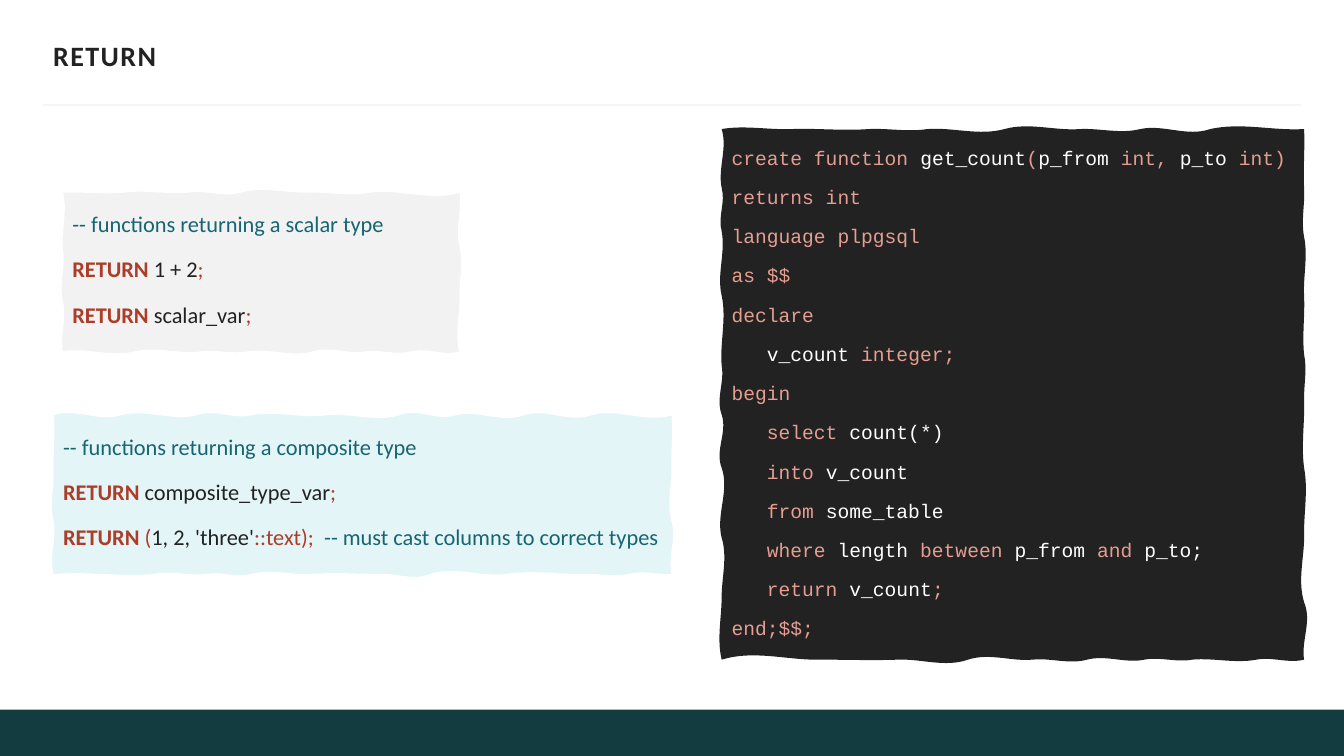
from pptx import Presentation
from pptx.util import Pt
from pptx.dml.color import RGBColor
from pptx.enum.shapes import MSO_SHAPE, MSO_CONNECTOR
from pptx.enum.text import MSO_ANCHOR
from lxml import etree

A = "{http://schemas.openxmlformats.org/drawingml/2006/main}"

# Run styles: colour, bold
STYLES = {
    "note": ("176571", False), "key": ("AB3D29", True),
    "mark": ("AB3D29", False), "plain": ("222222", False),
    "code": ("E59E91", False), "name": ("FFFFFF", False),
}

# Code lines: indent level, then runs of (style, text)
SCALAR = [
    (0, [("note", "-- functions returning a scalar type")]),
    (0, [("key", "RETURN "), ("plain", "1 + 2"), ("mark", ";")]),
    (0, [("key", "RETURN "), ("plain", "scalar_var"), ("mark", ";")]),
]
COMPOSITE = [
    (0, [("note", "-- functions returning a composite type")]),
    (0, [("key", "RETURN "), ("plain", "composite_type_var"), ("mark", ";")]),
    (0, [("key", "RETURN"), ("mark", " ("), ("plain", "1, 2, 'three'"),
         ("mark", "::text);  "), ("note", "-- must cast columns to correct types")]),
]
FUNCTION = [
    (0, [("code", "create function "), ("name", "get_count"), ("code", "("),
         ("name", "p_from "), ("code", "int, "), ("name", "p_to"), ("code", " int)")]),
    (0, [("code", "returns int")]),
    (0, [("code", "language plpgsql")]),
    (0, [("code", "as $$")]),
    (0, [("code", "declare")]),
    (1, [("name", "v_count"), ("code", " integer;")]),
    (0, [("code", "begin")]),
    (1, [("code", "select"), ("name", " count(*)")]),
    (1, [("code", "into "), ("name", "v_count")]),
    (1, [("code", "from "), ("name", "some_table")]),
    (1, [("code", "where"), ("name", " length "), ("code", "between "),
         ("name", "p_from "), ("code", "and "), ("name", "p_to;")]),
    (1, [("code", "return "), ("name", "v_count"), ("code", ";")]),
    (0, [("code", "end;$$;")]),
]

# Torn edges, clockwise from top left: (end along the edge, first bend, second bend)
SCALAR_EDGES = dict(
    top=[(44, -.7, 1.4), (90, -2.2, 1.4), (127, -2.2, 3.6), (174, -4.3, 0),
         (220, -.7, 2.9), (284, -2.9, 6.5)],
    right=[(39, 2.2, -3.6), (76, 2.9, -.7), (114, 0, -3.6)],
    bottom=[(249, 3.6, -2.9), (217, 2.9, -1.4), (179, 2.2, -3.6), (133, 4.3, -2.2),
            (99, 2.2, -1.4), (52, 2.2, -3.6), (0, 4.3, -2.9)],
    left=[(78, -2.2, 2.9), (41, -2.9, 2.2), (0, -1.4, 3.6)])
COMPOSITE_EDGES = dict(
    top=[(48, -5.8, 5), (102, -5, 4.3), (141, -5, 2.9), (194, -3.6, 2.2), (247, -2.2, 5),
         (287, -5.8, 4.3), (336, -4.3, 5.8), (384, -5.8, 5.8), (442, -5.8, 5.8)],
    right=[(38, 1.4, -.7), (76, 0, -3.6), (114, 3.6, -2.9)],
    bottom=[(411, .7, -2.9), (376, 2.2, -.7), (323, 0, -2.9), (269, 2.2, -5.8),
            (234, 5, -.7), (185, 0, -1.4), (141, .7, -3.6), (110, 2.9, -2.2),
            (71, 1.4, -2.9), (0, 2.2, -2.2)],
    left=[(76, -3.6, 2.2), (42, -2.9, 0), (0, -.7, 1.4)])
FUNCTION_EDGES = dict(
    top=[(50, -2.9, .7), (105, -.7, 1.4), (147, -.7, 2.2), (202, -1.4, 5),
         (256, -5, 1.4), (299, -.7, 3.6), (349, -3.6, 5.8), (416, -5, 1.4)],
    right=[(42, .7, -.7), (77, .7, -2.2), (119, 2.9, -.7), (161, .7, -1.4), (192, 2.2, 0),
           (242, .7, -2.2), (288, 2.9, 0), (338, .7, -5), (379, 5.8, -2.2)],
    bottom=[(382, 2.9, -2.2), (336, 2.9, -1.4), (302, 2.2, -2.2), (261, 2.9, -3.6),
            (222, 3.6, -1.4), (176, 1.4, -5), (126, 5.8, -.7), (71, .7, 0), (0, .7, -7.2)],
    left=[(334, -3.6, 0), (292, 0, 4.3), (242, -4.3, 5.8), (204, -5, 4.3), (169, -4.3, 2.2),
          (119, -1.4, 3.6), (73, -3.6, 2.9), (42, -2.9, 2.9), (0, -2.9, 4.3)])

# Panels: left, top, width, height, fill, line, font, size, space before, edges, lines
PANELS = [
    (44.6, 137.3, 284, 114, "F2F2F2", "FFFFFF", "Calibri", 16, 3.4, SCALAR_EDGES, SCALAR),
    (38, 296.4, 442, 114, "E4F5F7", "FFFFFF", "Calibri", 16, 3.4, COMPOSITE_EDGES, COMPOSITE),
    (515.5, 92.2, 416, 379, "222222", None, "Courier New", 14, 2.8, FUNCTION_EDGES, FUNCTION),
]
INDENT = 25.2


def rgb(value):
    return RGBColor.from_string(value)


def add_run(p, text, font, size, color, bold):
    r = p.add_run()
    r.text = text
    r.font.name, r.font.size, r.font.bold = font, Pt(size), bold
    r.font.color.rgb = rgb(color)
    return r


def torn_curves(width, height, edges):
    """Cubic curves round a rectangle, each as two control points and an end."""
    curves = []
    for side, start, base in (("top", 0, 0), ("right", 0, width),
                              ("bottom", width, height), ("left", height, 0)):
        for end, bend1, bend2 in edges[side]:
            third = (end - start) / 3
            points = [(start + third, base + bend1), (end - third, base + bend2), (end, base)]
            if side in ("right", "left"):
                points = [(y, x) for x, y in points]
            curves.append([(Pt(x), Pt(y)) for x, y in points])
            start = end
    return curves


def add_torn_shape(s, left, top, curves):
    builder = s.shapes.build_freeform(0, 0)
    builder.add_line_segments([curve[-1] for curve in curves], close=True)
    sp = builder.convert_to_shape(Pt(left), Pt(top))
    # Bend each straight side piece
    for piece, curve in zip(list(sp._element.iter(A + "lnTo")), curves):
        bezier = etree.Element(A + "cubicBezTo")
        for x, y in curve:
            etree.SubElement(bezier, A + "pt", x=str(x), y=str(y))
        piece.getparent().replace(piece, bezier)
    return sp


def add_panel(s, left, top, width, height, fill, line, font, size, space, edges, lines):
    sp = add_torn_shape(s, left, top, torn_curves(width, height, edges))
    sp.shadow.inherit = False
    sp.fill.solid()
    sp.fill.fore_color.rgb = rgb(fill)
    if line:
        sp.line.color.rgb = rgb(line)
        sp.line.width = Pt(0.75)
    else:
        sp.line.fill.background()

    tf = sp.text_frame
    tf.word_wrap = True
    tf.vertical_anchor = MSO_ANCHOR.TOP
    for i, (level, runs) in enumerate(lines):
        p = tf.paragraphs[0] if i == 0 else tf.add_paragraph()
        pPr = p._p.get_or_add_pPr()
        pPr.set("algn", "l")
        pPr.set("marL", str(Pt(INDENT * level)))
        p.line_spacing = 1.5
        p.space_before = Pt(space)
        for style, text in runs:
            add_run(p, text, font, size, *STYLES[style])


prs = Presentation()
prs.slide_width, prs.slide_height = Pt(960), Pt(540)
s = prs.slides.add_slide(prs.slide_layouts[6])

# Footer band
footer = s.shapes.add_shape(MSO_SHAPE.RECTANGLE, 0, Pt(506.9), Pt(960), Pt(33.1))
footer.shadow.inherit = False
footer.fill.solid()
footer.fill.fore_color.rgb = rgb("133C41")
footer.line.fill.background()

# Rule under the title
rule = s.shapes.add_connector(MSO_CONNECTOR.STRAIGHT, Pt(31), Pt(74.9), Pt(929), Pt(74.9))
rule.line.color.rgb = rgb("F5F5F5")
rule.line.width = Pt(1.5)
etree.SubElement(rule._element.spPr, A + "effectLst")

# Title
title = s.shapes.add_textbox(Pt(38), Pt(23.8), Pt(885), Pt(31.7))
tf = title.text_frame
tf.word_wrap = True
tf.vertical_anchor = MSO_ANCHOR.MIDDLE
tf.margin_left = tf.margin_right = 0
r = add_run(tf.paragraphs[0], "RETURN", "Calibri", 20, "222222", True)
r._r.get_or_add_rPr().set("spc", "100")

# Code panels
for panel in PANELS:
    add_panel(s, *panel)

prs.save("out.pptx")
